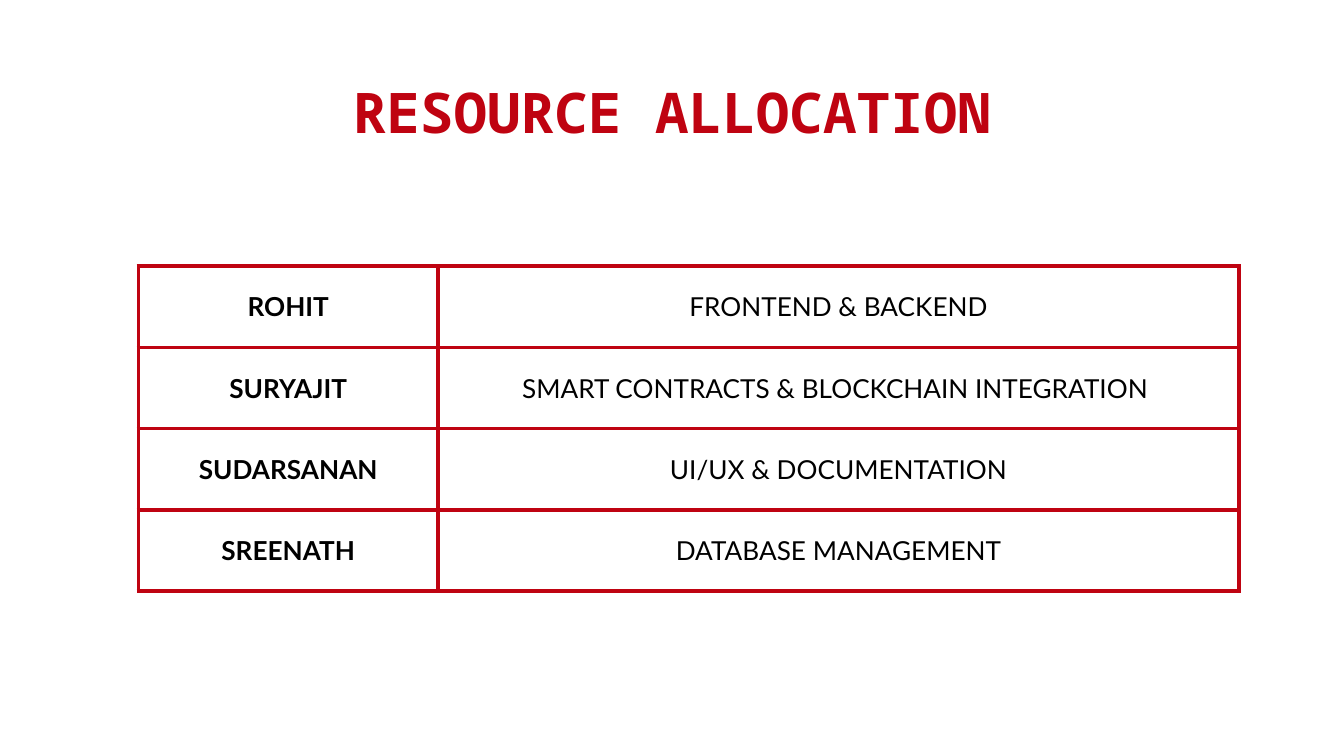
from lxml.etree import SubElement
from pptx import Presentation
from pptx.dml.color import RGBColor
from pptx.enum.text import MSO_ANCHOR, PP_ALIGN
from pptx.oxml.ns import qn
from pptx.util import Inches, Pt

COLORS = {"red": "BF0311", "black": "000000"}
ROWS = [
    ("ROHIT", "FRONTEND & BACKEND"),
    ("SURYAJIT", "SMART CONTRACTS & BLOCKCHAIN INTEGRATION "),
    ("SUDARSANAN", "UI/UX & DOCUMENTATION"),
    ("SREENATH", "DATABASE MANAGEMENT"),
]


def write(tf, text, *, font="Lato", size=14, color="black", bold=False):
    p = tf.paragraphs[0]
    p.alignment = PP_ALIGN.CENTER
    r = p.add_run()
    r.text = text
    r.font.name = font
    r.font.size = Pt(size)
    r.font.bold = bold
    r.font.color.rgb = RGBColor.from_string(COLORS[color])


class Deck:
    margin = Inches(0.1)
    border = Pt(2.25)

    def __init__(self, width):
        self.prs = Presentation()
        self.prs.slide_width = Inches(width)
        self.prs.slide_height = Inches(width * 9 / 16)
        self.s = self.prs.slides.add_slide(self.prs.slide_layouts[6])

    def inset(self, box):
        box.margin_left = box.margin_right = self.margin
        box.margin_top = box.margin_bottom = self.margin

    def text(self, x, y, w, h, text, **style):
        sp = self.s.shapes.add_textbox(Inches(x), Inches(y), Inches(w), Inches(h))
        tf = sp.text_frame
        tf.word_wrap = True
        tf.vertical_anchor = MSO_ANCHOR.TOP
        self.inset(tf)
        write(tf, text, **style)

    def outline(self, cell):
        tcPr = cell._tc.get_or_add_tcPr()
        for side in ("a:lnL", "a:lnR", "a:lnT", "a:lnB"):
            ln = SubElement(tcPr, qn(side), w=str(self.border))
            fill = SubElement(ln, qn("a:solidFill"))
            SubElement(fill, qn("a:srgbClr"), val=COLORS["red"])

    def table(self, x, y, widths, height, rows):
        frame = self.s.shapes.add_table(
            len(rows), len(widths), Inches(x), Inches(y),
            Inches(sum(widths)), Inches(height))
        table = frame.table
        table.first_row = table.horz_banding = False
        for column, width in zip(table.columns, widths):
            column.width = Inches(width)
        for i, row in enumerate(rows):
            table.rows[i].height = Inches(height / len(rows))
            for j, text in enumerate(row):
                cell = table.cell(i, j)
                self.inset(cell)
                cell.vertical_anchor = MSO_ANCHOR.MIDDLE
                self.outline(cell)
                cell.fill.background()
                write(cell.text_frame, text, bold=j == 0)


def main():
    deck = Deck(10)
    deck.text(0.78, 0.48, 8.44, 0.63, "RESOURCE ALLOCATION",
              font="Noto Sans Mono", size=30, color="red", bold=True)
    deck.table(1.03, 1.98, (2.23, 5.96), 2.42, ROWS)
    deck.prs.save("out.pptx")


if __name__ == "__main__":
    main()
